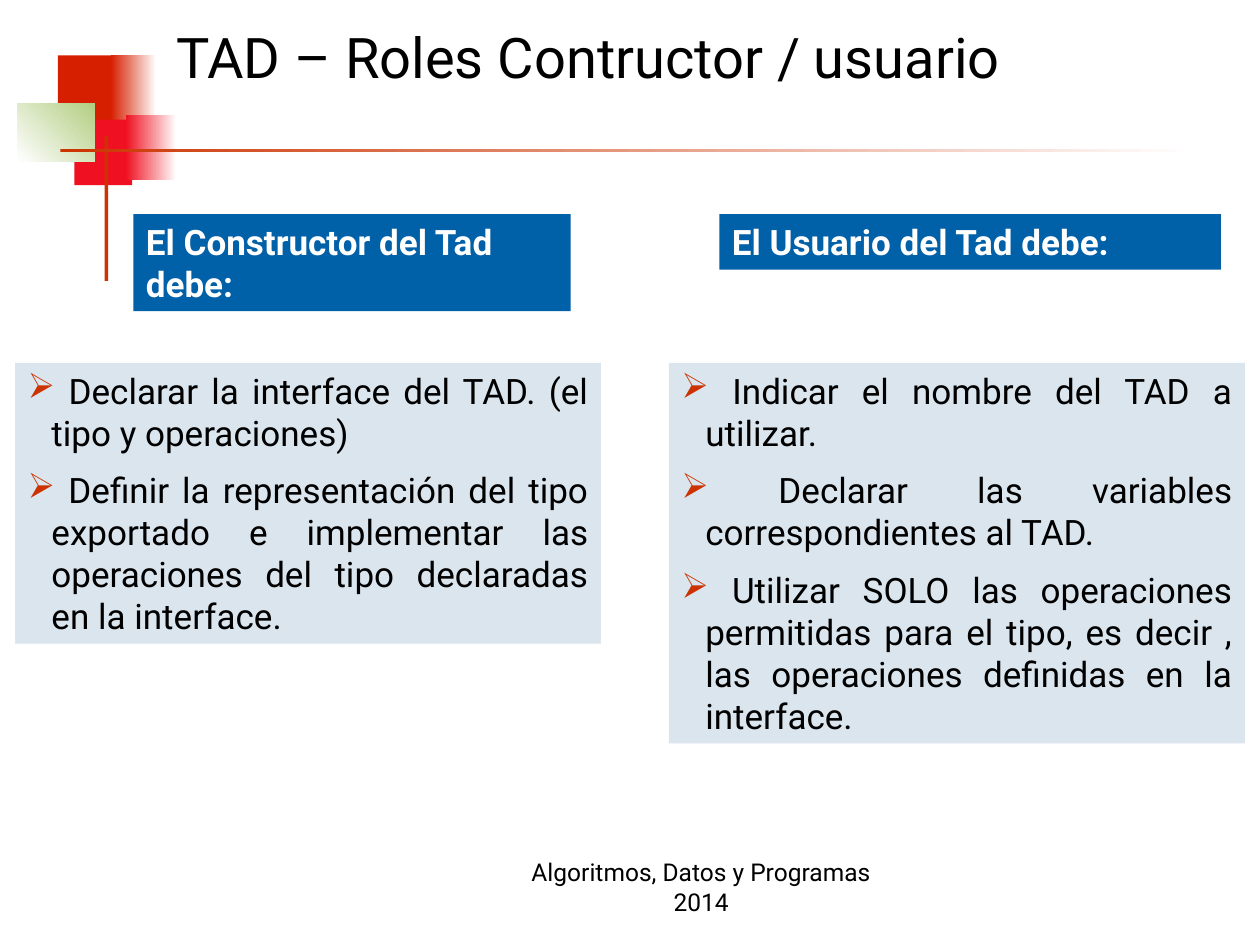
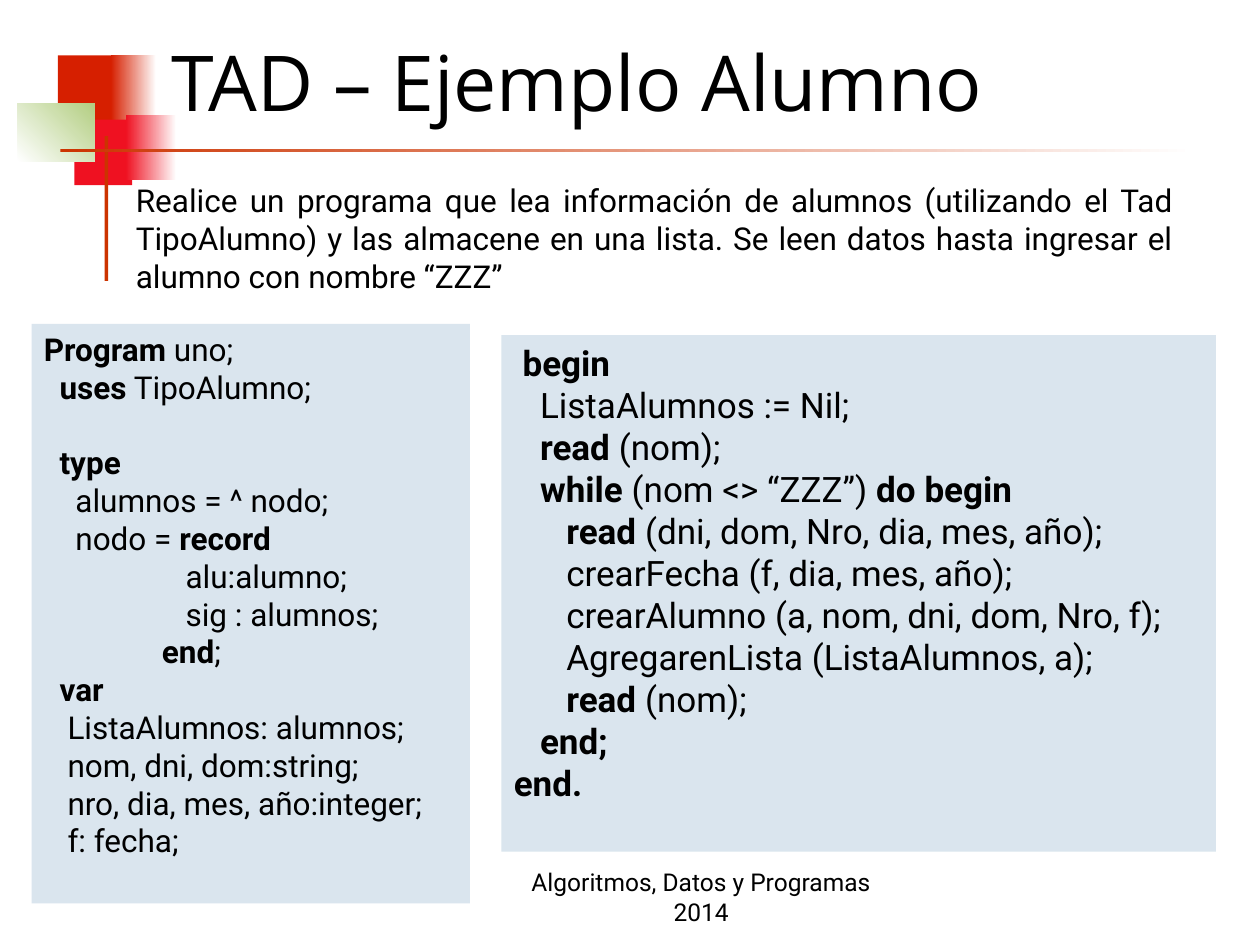
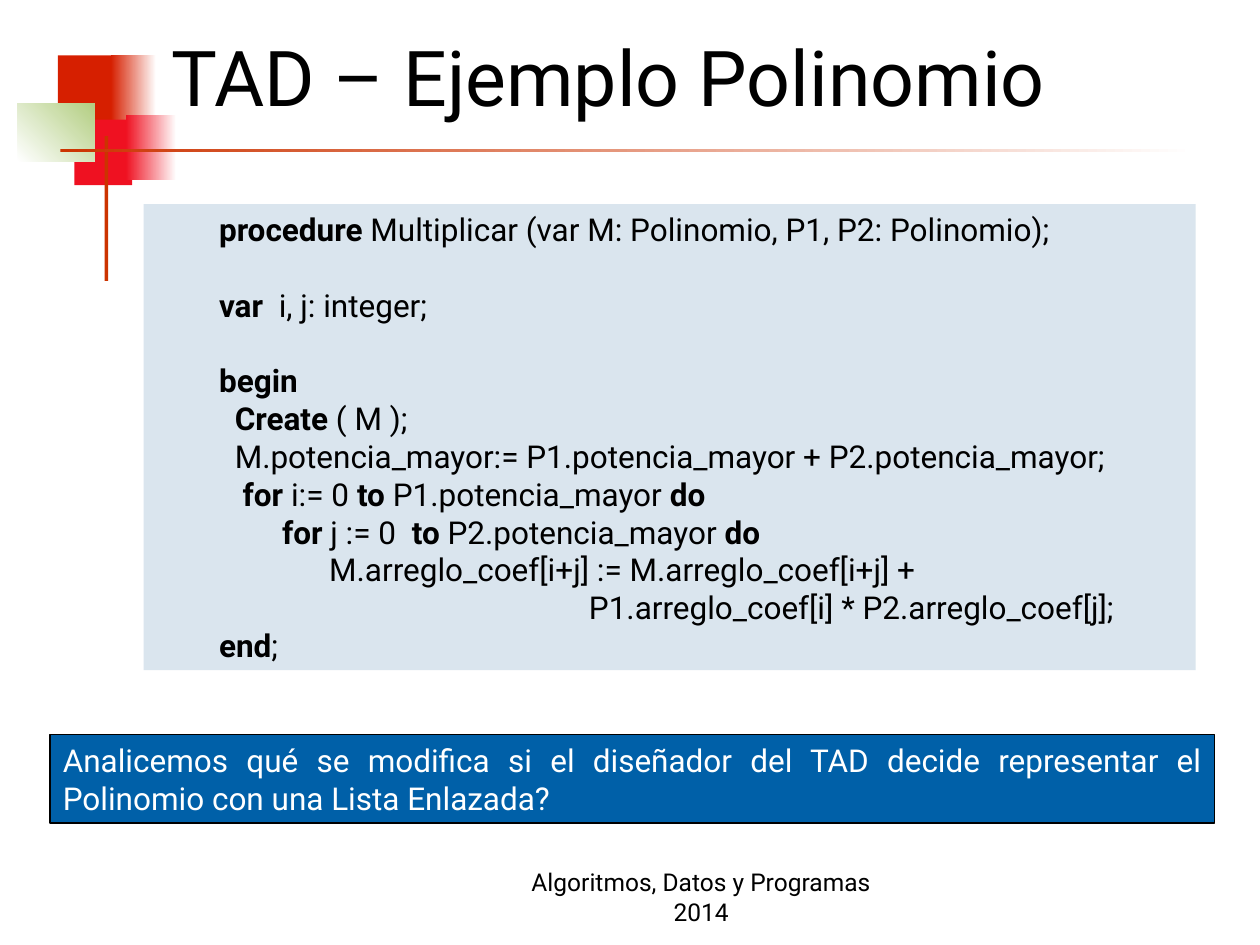
import pptx
import pptx.dml.color
import pptx.enum.shapes
import pptx.enum.text
import pptx.oxml.ns
import pptx.util
from lxml import etree

PX = 9144  # EMU per px, 100 px to the inch
RED, CRIMSON, GREEN, RUST = "D61F00", "EF1121", "B3CE82", "CC3300"
BLUE, PALE, WHITE, BLACK = "0060A8", "DAE5EE", "FFFFFF", "000000"
SPACE_WIDTH = 0.347  # px per point of text size
LINE_HEIGHT = 1.2
ALIGN = pptx.enum.text.PP_ALIGN
ANCHOR = pptx.enum.text.MSO_ANCHOR


def px(length):
    return pptx.util.Emu(round(length * PX))


def rgb(code):
    return pptx.dml.color.RGBColor.from_string(code)


def add_bullet(paragraph, symbol, color):
    properties = paragraph._p.get_or_add_pPr()
    properties.set("marL", str(px(19)))
    properties.set("indent", str(px(-19)))
    qn = pptx.oxml.ns.qn
    bullet_color = etree.SubElement(properties, qn("a:buClr"))
    etree.SubElement(bullet_color, qn("a:srgbClr")).set("val", color)
    etree.SubElement(properties, qn("a:buChar")).set("char", symbol)


def write(frame, lines, size=18, color=BLACK, font="Roboto", align=ALIGN.LEFT,
          anchor=ANCHOR.TOP, after=0, bullet=None):
    """Write one paragraph per line; text between ** marks is bold."""
    frame.word_wrap = True
    frame.vertical_anchor = anchor
    for index, line in enumerate(lines):
        paragraph = frame.paragraphs[0] if index == 0 else frame.add_paragraph()
        paragraph.alignment = align
        paragraph.space_after = pptx.util.Pt(after)
        if bullet:
            add_bullet(paragraph, bullet, RUST)
        for part, words in enumerate(line.split("**")):
            if words:
                run = paragraph.add_run()
                run.text = words
                run.font.size = pptx.util.Pt(size)
                run.font.name = font
                run.font.bold = part % 2 == 1
                run.font.color.rgb = rgb(color)


class Deck:
    """Holds the presentation, its shared style and the current slide."""

    def __init__(self):
        self.presentation = pptx.Presentation()
        self.presentation.slide_width = px(1000)
        self.presentation.slide_height = px(750)
        self.slide = None

    def start_slide(self, footer_top=690):
        layout = self.presentation.slide_layouts[6]
        self.slide = self.presentation.slides.add_slide(layout)
        self.box(46, 44, 48, 52, RED)
        self.box(88, 44, 36, 52, RED, fade_to=WHITE)
        self.box(59, 95, 46, 52, CRIMSON)
        self.box(100, 91, 40, 52, CRIMSON, fade_to=WHITE)
        self.box(14, 82, 61, 46, WHITE, fade_to=GREEN, angle=45)
        self.box(83, 108, 3, 115, RUST)
        self.box(48, 118, 900, 3, RUST, fade_to=WHITE)
        self.label(398, footer_top, 317, 50, "Algoritmos, Datos y Programas 2014",
                   size=14, align=ALIGN.CENTER, anchor=ANCHOR.BOTTOM)

    def box(self, left, top, width, height, fill, fade_to=None, angle=0, line=None):
        kind = pptx.enum.shapes.MSO_SHAPE.RECTANGLE
        shape = self.slide.shapes.add_shape(kind, px(left), px(top), px(width), px(height))
        shape.shadow.inherit = False
        if fade_to:
            shape.fill.gradient()
            shape.fill.gradient_angle = angle
            for stop, position, color in zip(shape.fill.gradient_stops, (0, 1), (fill, fade_to)):
                stop.position = position
                stop.color.rgb = rgb(color)
        else:
            shape.fill.solid()
            shape.fill.fore_color.rgb = rgb(fill)
        if line:
            shape.line.color.rgb = rgb(line)
            shape.line.width = pptx.util.Pt(1)
        else:
            shape.line.fill.background()
        return shape

    def label(self, left, top, width, height, text, **style):
        shape = self.slide.shapes.add_textbox(px(left), px(top), px(width), px(height))
        write(shape.text_frame, [text], **style)

    def title(self, text, height, font="Roboto"):
        self.label(126, 5, 852, height, text, size=44, font=font, anchor=ANCHOR.MIDDLE)

    def banner(self, left, top, width, height, text, line=None, **style):
        shape = self.box(left, top, width, height, BLUE, line=line)
        write(shape.text_frame, [text], color=WHITE, **style)

    def bullets(self, left, top, width, height, items):
        shape = self.box(left, top, width, height, PALE)
        write(shape.text_frame, items, size=20, align=ALIGN.JUSTIFY, after=9, bullet="➢")

    def code(self, left, top, width, height, lines, size=18, margin=0):
        """Show (columns of indent, text) lines; None leaves an empty row."""
        shape = self.box(left, top, width, height, PALE)
        write(shape.text_frame, [line[1] for line in lines if line], size=size)
        paragraphs = iter(shape.text_frame.paragraphs)
        gap = 0
        for line in lines:
            if line is None:
                gap += size * LINE_HEIGHT
                continue
            paragraph = next(paragraphs)
            paragraph.space_before = pptx.util.Pt(gap)
            indent = margin + line[0] * size * SPACE_WIDTH
            paragraph._p.get_or_add_pPr().set("marL", str(px(indent)))
            gap = 0


def roles_slide(deck):
    deck.start_slide(footer_top=682)
    deck.label(130, 13, 843, 64, "TAD – Roles Contructor / usuario", size=32)
    deck.bullets(531, 288, 457, 302, [
        " Indicar el nombre del TAD a utilizar.",
        " Declarar las variables correspondientes al TAD.",
        " Utilizar SOLO las operaciones permitidas para el tipo, es decir , "
        "las operaciones definidas en la interface.",
    ])
    deck.bullets(12, 288, 465, 223, [
        " Declarar la interface del TAD. (el tipo y operaciones)",
        " Definir la representación del tipo exportado e implementar las "
        "operaciones del tipo declaradas en la interface.",
    ])
    deck.banner(106, 170, 347, 77, "**El Constructor del Tad debe:**", size=20)
    deck.banner(571, 170, 398, 44, "**El Usuario del Tad debe:**", size=20)


def student_slide(deck):
    deck.start_slide()
    deck.label(98, 139, 843, 95,
               "Realice un programa que lea información de alumnos (utilizando el Tad "
               "TipoAlumno) y las almacene en una lista. Se leen datos hasta ingresar "
               "el alumno con nombre “ZZZ”", align=ALIGN.JUSTIFY)
    deck.code(25, 257, 348, 460, [
        (0, "**Program** uno;"),
        (2, "**uses** TipoAlumno;"),
        None,
        (2, "**type**"),
        (4, "alumnos = ^ nodo;"),
        (4, "nodo = **record**"),
        (18, "alu:alumno;"),
        (18, "sig : alumnos;"),
        (15, "**end**;"),
        (2, "**var**"),
        (3, "ListaAlumnos: alumnos;"),
        (3, "nom, dni, dom:string;"),
        (3, "nro, dia, mes, año:integer;"),
        (3, "f: fecha;"),
    ])
    deck.code(398, 266, 567, 410, [
        (1, "**begin**"),
        (3, "ListaAlumnos := Nil;"),
        (3, "**read** (nom);"),
        (3, "**while** (nom <> “ZZZ”) **do begin**"),
        (6, "**read** (dni, dom, Nro, dia, mes, año);"),
        (6, "crearFecha (f, dia, mes, año);"),
        (6, "crearAlumno (a, nom, dni, dom, Nro, f);"),
        (6, "AgregarenLista (ListaAlumnos, a);"),
        (6, "**read** (nom);"),
        (3, "**end;**"),
        (0, "**end.**"),
    ], size=20)
    deck.title("TAD – Ejemplo Alumno", height=118, font="Open Sans")


def polynomial_slide(deck):
    deck.start_slide()
    deck.banner(40, 583, 924, 70,
                "Analicemos qué se modifica si el diseñador del TAD decide representar "
                "el Polinomio con una Lista Enlazada?", line=BLACK, align=ALIGN.JUSTIFY)
    deck.title("TAD – Ejemplo Polinomio", height=110)
    deck.code(114, 162, 835, 370, [
        (0, "**procedure** Multiplicar (var M: Polinomio, P1, P2: Polinomio);"),
        None,
        (0, "**var**  i, j: integer;"),
        None,
        (0, "**begin**"),
        (2, "**Create** ( M );"),
        (2, "M.potencia_mayor:= P1.potencia_mayor + P2.potencia_mayor;"),
        (3, "**for** i:= 0 **to** P1.potencia_mayor **do**"),
        (8, "**for** j := 0  **to** P2.potencia_mayor **do**"),
        (14, "M.arreglo_coef[i+j] := M.arreglo_coef[i+j] +"),
        (47, "P1.arreglo_coef[i] * P2.arreglo_coef[j];"),
        (0, "**end**;"),
    ], margin=50)


def main():
    deck = Deck()
    roles_slide(deck)
    student_slide(deck)
    polynomial_slide(deck)
    deck.presentation.save("out.pptx")


if __name__ == "__main__":
    main()
